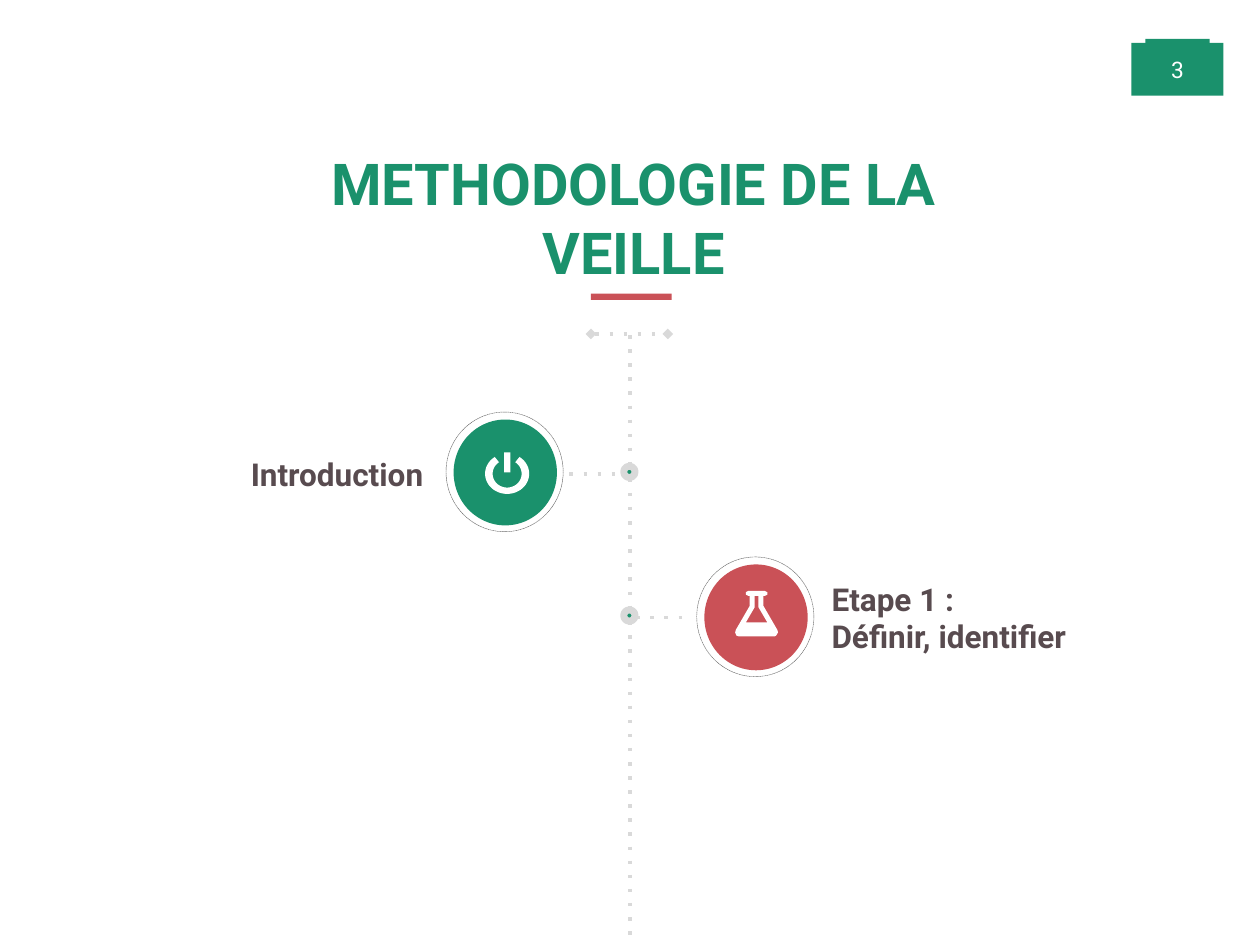
"""Build the timeline slide that introduces the monitoring methodology."""
from math import cos, radians, sin

from lxml.etree import SubElement
from pptx import Presentation
from pptx.dml.color import RGBColor as RGB
from pptx.enum.dml import MSO_LINE
from pptx.enum.shapes import MSO_CONNECTOR, MSO_SHAPE as SHAPE
from pptx.enum.text import MSO_AUTO_SIZE as FIT, PP_ALIGN as ALIGN
from pptx.oxml.ns import qn
from pptx.util import Inches, Pt

COLORS = {"green": "1A916C", "red": "CA5157", "dark": "584B4F",
          "dots": "D9D9D9", "ring": "666666", "white": "FFFFFF"}
RGBS = {name: RGB.from_string(value) for name, value in COLORS.items()}

prs = Presentation()
prs.slide_width, prs.slide_height = Inches(10), Inches(7.5)
COL, ROW = prs.slide_width / 100, prs.slide_height / 75
s = prs.slides.add_slide(prs.slide_layouts[6])


def add_box(kind, x, y, w, h, fill=None, line=None, width=0):
    sp = s.shapes.add_shape(kind, int(x * COL), int(y * ROW), int(w * COL), int(h * ROW))
    sp.shadow.inherit = False
    if fill:
        sp.fill.solid()
        sp.fill.fore_color.rgb = RGBS[fill]
    else:
        sp.fill.background()
    if line:
        sp.line.color.rgb = RGBS[line]
        sp.line.width = Pt(width)
    else:
        sp.line.fill.background()
    return sp


def write(sp, lines, align, size, color, bold, wrap, insets):
    tf = sp.text_frame
    frame = {"word_wrap": wrap, "auto_size": FIT.SHAPE_TO_FIT_TEXT,
             "margin_left": Inches(insets[0]), "margin_right": Inches(insets[0]),
             "margin_top": Inches(insets[1]), "margin_bottom": Inches(insets[1])}
    for key, value in frame.items():
        setattr(tf, key, value)
    for i, text in enumerate(lines):
        p = tf.add_paragraph() if i else tf.paragraphs[0]
        p.alignment = align
        r = p.add_run()
        r.text = text
        for key, value in {"name": "Roboto", "size": Pt(size), "bold": bold}.items():
            setattr(r.font, key, value)
        r.font.color.rgb = RGBS[color]


add_box(SHAPE.RECTANGLE, 90.9, 3.1, 5.1, 4, "green")
badge = add_box(SHAPE.RECTANGLE, 89.8, 3.4, 7.3, 4.2, "green")
write(badge, ["3"], ALIGN.CENTER, 13, "white", False, False, (0.2, 0.1))

for x, y, color in ((55.9, 44.8, "red"), (36, 33.3, "green")):
    add_box(SHAPE.OVAL, x, y, 8.2, 8.4, color)
    ring = add_box(SHAPE.OVAL, x - 0.6, y - 0.6, 9.3, 9.5, None, "ring", 0.25)
    ring.line.dash_style = MSO_LINE.SQUARE_DOT

dotted_lines = (
    (50, 26.6, 50, 36.9, False),
    (50, 38, 50, 48.2, False),
    (50, 49.3, 50, 75, False),
    (45.2, 37.6, 49.5, 37.6, False),
    (50.5, 49, 54.8, 49, False),
    (46.9, 26.5, 53, 26.5, True),
)
for x1, y1, x2, y2, diamonds in dotted_lines:
    line = s.shapes.add_connector(MSO_CONNECTOR.STRAIGHT, int(x1 * COL), int(y1 * ROW),
                                  int(x2 * COL), int(y2 * ROW))
    line.line.color.rgb = RGBS["dots"]
    line.line.width = Pt(2)
    ln = line.line._get_or_add_ln()
    SubElement(ln, qn("a:prstDash"), val="dot")
    if diamonds:
        for end in ("a:headEnd", "a:tailEnd"):
            SubElement(ln, qn(end), type="diamond")
    SubElement(line._element.spPr, qn("a:effectLst"))

for y in (37, 48.4):
    add_box(SHAPE.OVAL, 49.5, y, 0.9, 0.9, "green", "dots", 4)

flask = (
    ((61.7, 50), (61.75, 50.2), (61.6, 50.45), (61.5, 50.5), (58.6, 50.5),
     (58.45, 50.45), (58.35, 50.2), (58.4, 50), (59.5, 48.1), (59.5, 47.3),
     (59.4, 47.3), (59.2, 47.2), (59.2, 47), (59.4, 46.9), (60.7, 46.9),
     (60.9, 47), (60.9, 47.2), (60.7, 47.3), (60.6, 47.3), (60.6, 48.1)),
    ((59.2, 49.4), (60.9, 49.4), (60.2, 48.2), (60.2, 47.3), (59.9, 47.3), (59.9, 48.2)),
)
sweep = range(-56, 237, 4)
power_arc = [(40.25 + rx * cos(radians(a)), 37.6 + ry * sin(radians(a)))
             for rx, ry, angles in ((1.75, 1.6, sweep), (1.15, 1.1, reversed(sweep)))
             for a in angles]
power = (power_arc, ((40, 35.9), (40.5, 35.9), (40.5, 37.5), (40, 37.5)))

for contours in (flask, power):
    outlines = [[(int(x * COL), int(y * ROW)) for x, y in c] for c in contours]
    builder = s.shapes.build_freeform(*outlines[0][0])
    builder.add_line_segments(outlines[0][1:], close=True)
    for outline in outlines[1:]:
        builder.move_to(*outline[0])
        builder.add_line_segments(outline[1:], close=True)
    icon = builder.convert_to_shape()
    icon.shadow.inherit = False
    icon.fill.solid()
    icon.fill.fore_color.rgb = RGBS["white"]
    icon.line.fill.background()

texts = (
    (22.2, 11.3, 56.2, 11.9, ["METHODOLOGIE DE LA VEILLE"], ALIGN.CENTER, 33, "green", True),
    (18.1, 35.7, 16.3, 3.8, ["Introduction"], ALIGN.RIGHT, 18, "dark", False),
    (65.2, 45.6, 21.4, 6.8, ["Etape 1 :", "Définir, identifier"], ALIGN.LEFT, 18, "dark", False),
)
for x, y, w, h, lines, align, size, color, wrap in texts:
    tb = s.shapes.add_textbox(int(x * COL), int(y * ROW), int(w * COL), int(h * ROW))
    write(tb, lines, align, size, color, True, wrap, (0.08, 0.04))

add_box(SHAPE.RECTANGLE, 46.9, 23.3, 6.4, 0.5, "red")

prs.save("out.pptx")
